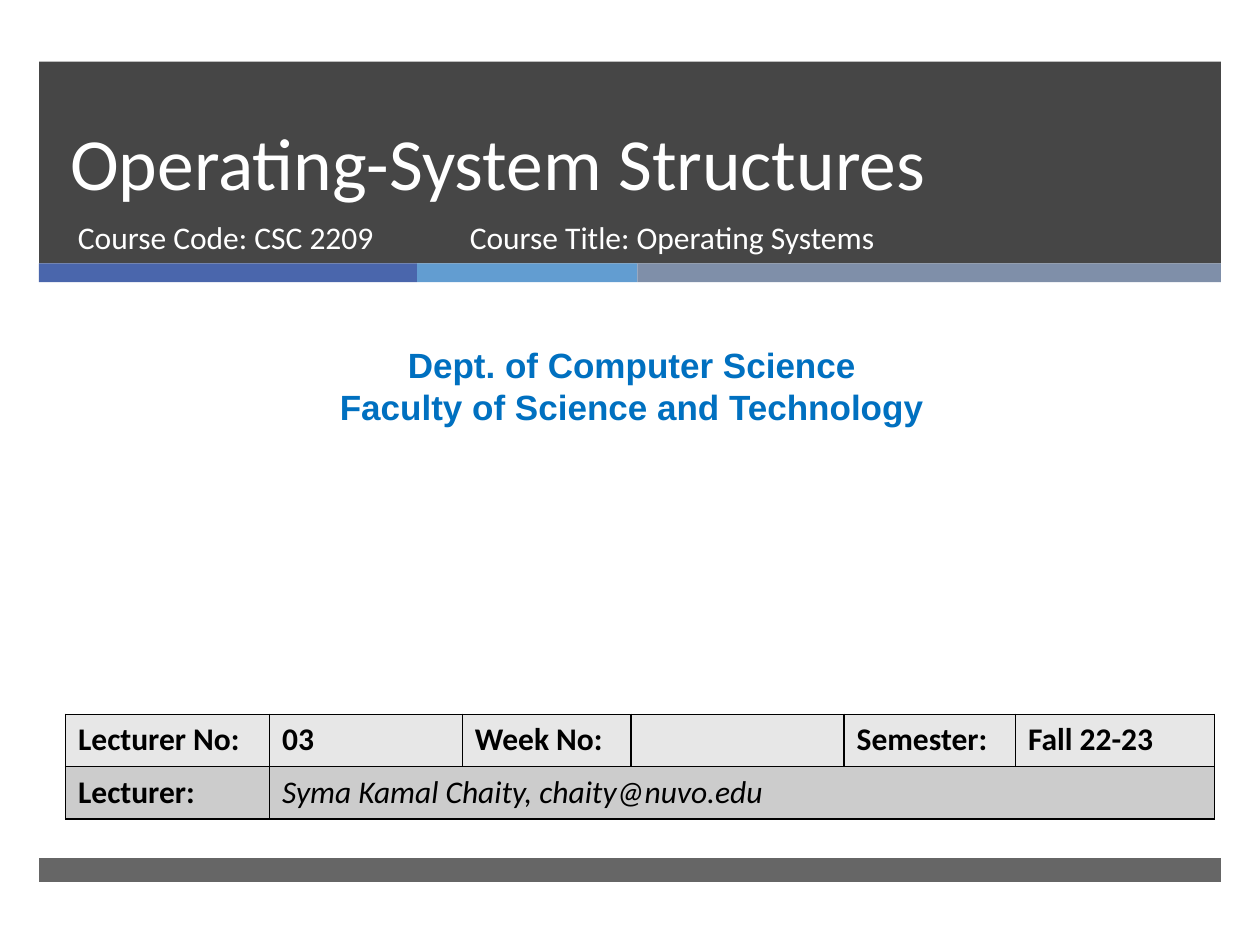
from dataclasses import dataclass

from lxml import etree
from pptx import Presentation
from pptx.dml.color import RGBColor
from pptx.enum.shapes import MSO_SHAPE
from pptx.enum.text import MSO_ANCHOR, PP_ALIGN
from pptx.oxml.ns import qn
from pptx.util import Inches, Pt

RECTANGLE = MSO_SHAPE.RECTANGLE
TOP, BOTTOM = MSO_ANCHOR.TOP, MSO_ANCHOR.BOTTOM
LEFT, CENTER = PP_ALIGN.LEFT, PP_ALIGN.CENTER


@dataclass(frozen=True)
class Theme:
    dark: str = "262626"
    white: str = "FFFFFF"
    black: str = "000000"
    department: str = "0070C0"
    stripes: tuple = ("4A66AC", "629DD1", "7F8FA9")
    rows: tuple = ("E7E7E7", "CCCCCC")
    body_font: str = "Calibri"
    department_font: str = "Arial"
    title_size: int = 42
    title_leading: int = 46
    department_size: int = 20
    body_size: int = 18
    border_width: int = 1


THEME = Theme()
SLIDE_WIDTH, SLIDE_HEIGHT = 10, 7.5
MARGIN = 0.31
BAND_WIDTH = SLIDE_WIDTH - 2 * MARGIN


def inches(box):
    return [Inches(length) for length in box]


def add_bar(slide, box, color, opacity=100):
    bar = slide.shapes.add_shape(RECTANGLE, *inches(box))
    bar.shadow.inherit = False
    bar.line.fill.background()
    bar.fill.solid()
    bar.fill.fore_color.rgb = RGBColor.from_string(color)
    if opacity < 100:
        color_element = bar.fill._xPr.find(qn("a:solidFill"))[0]
        etree.SubElement(color_element, qn("a:alpha"), val=str(opacity * 1000))


def write(paragraph, text, color, size=THEME.body_size, name=THEME.body_font, **styles):
    run = paragraph.add_run()
    run.text = text
    formats = {"size": Pt(size), "name": name, **styles}
    for attribute, value in formats.items():
        setattr(run.font, attribute, value)
    run.font.color.rgb = RGBColor.from_string(color)


def add_text(slide, box, lines, color, anchor=TOP, alignment=LEFT, leading=None, **styles):
    frame = slide.shapes.add_textbox(*inches(box)).text_frame
    frame.word_wrap = True
    frame.vertical_anchor = anchor
    for index, line in enumerate(lines):
        paragraph = frame.add_paragraph() if index else frame.paragraphs[0]
        paragraph.alignment = alignment
        if leading:
            paragraph.line_spacing = Pt(leading)
        write(paragraph, line, color, **styles)


def add_header(slide, box):
    left, top, width, height = box
    stripe_height = 0.15
    add_bar(slide, (left, top, width, height - stripe_height), THEME.dark, 85)

    stripe_left = left
    stripe_widths = (3, 1.75, width - 4.75)
    for stripe_width, color in zip(stripe_widths, THEME.stripes):
        add_bar(slide, (stripe_left, top + height - stripe_height,
                        stripe_width, stripe_height), color)
        stripe_left += stripe_width

    title_height = 1.19
    add_text(slide, (left + 0.15, top, 8.54, title_height),
             ["Operating-System Structures"], THEME.white, anchor=BOTTOM,
             leading=THEME.title_leading, size=THEME.title_size)
    courses = (
        (0.21, 3.05, "Course Code: CSC 2209"),
        (3.32, 4.55, "Course Title: Operating Systems"),
    )
    for offset, course_width, text in courses:
        add_text(slide, (left + offset, top + title_height, course_width, 0.53),
                 [text], THEME.white)


def add_department(slide, box):
    add_text(slide, box,
             ["Dept. of Computer Science", "Faculty of Science and Technology"],
             THEME.department, alignment=CENTER, size=THEME.department_size,
             name=THEME.department_font, bold=True)


def add_borders(cell):
    properties = cell._tc.get_or_add_tcPr()
    for index, side in enumerate(("lnL", "lnR", "lnT", "lnB")):
        line = etree.Element(qn(f"a:{side}"), w=str(Pt(THEME.border_width)))
        fill = etree.SubElement(line, qn("a:solidFill"))
        etree.SubElement(fill, qn("a:srgbClr"), val=THEME.black)
        properties.insert(index, line)


def add_lecture_table(slide, box):
    content = (
        ("Lecturer No:", "03", "Week No:", "", "Semester:", "Fall 22-23"),
        ("Lecturer:", "Syma Kamal Chaity, chaity@nuvo.edu", "", "", "", ""),
    )
    column_widths = (1.62, 1.53, 1.34, 1.69, 1.36, 1.58)
    table = slide.shapes.add_table(len(content), len(column_widths), *inches(box)).table
    for column, width in zip(table.columns, column_widths):
        column.width = Inches(width)
    table.cell(1, 1).merge(table.cell(1, len(column_widths) - 1))

    for row_index, texts in enumerate(content):
        for column_index, text in enumerate(texts):
            cell = table.cell(row_index, column_index)
            cell.fill.solid()
            cell.fill.fore_color.rgb = RGBColor.from_string(THEME.rows[row_index])
            add_borders(cell)
            if text:
                is_name = cell.is_merge_origin
                write(cell.text_frame.paragraphs[0], text, THEME.black,
                      bold=not is_name, italic=is_name)


def main():
    presentation = Presentation()
    presentation.slide_width = Inches(SLIDE_WIDTH)
    presentation.slide_height = Inches(SLIDE_HEIGHT)
    slide = presentation.slides.add_slide(presentation.slide_layouts[6])

    add_header(slide, (MARGIN, 0.49, BAND_WIDTH, 1.75))
    add_bar(slide, (MARGIN, 6.81, BAND_WIDTH, 0.19), THEME.dark, 70)
    add_department(slide, (0.08, 2.68, 9.87, 0.77))
    add_lecture_table(slide, (0.52, 5.67, 9.12, 0.83))
    presentation.save("out.pptx")


if __name__ == "__main__":
    main()
